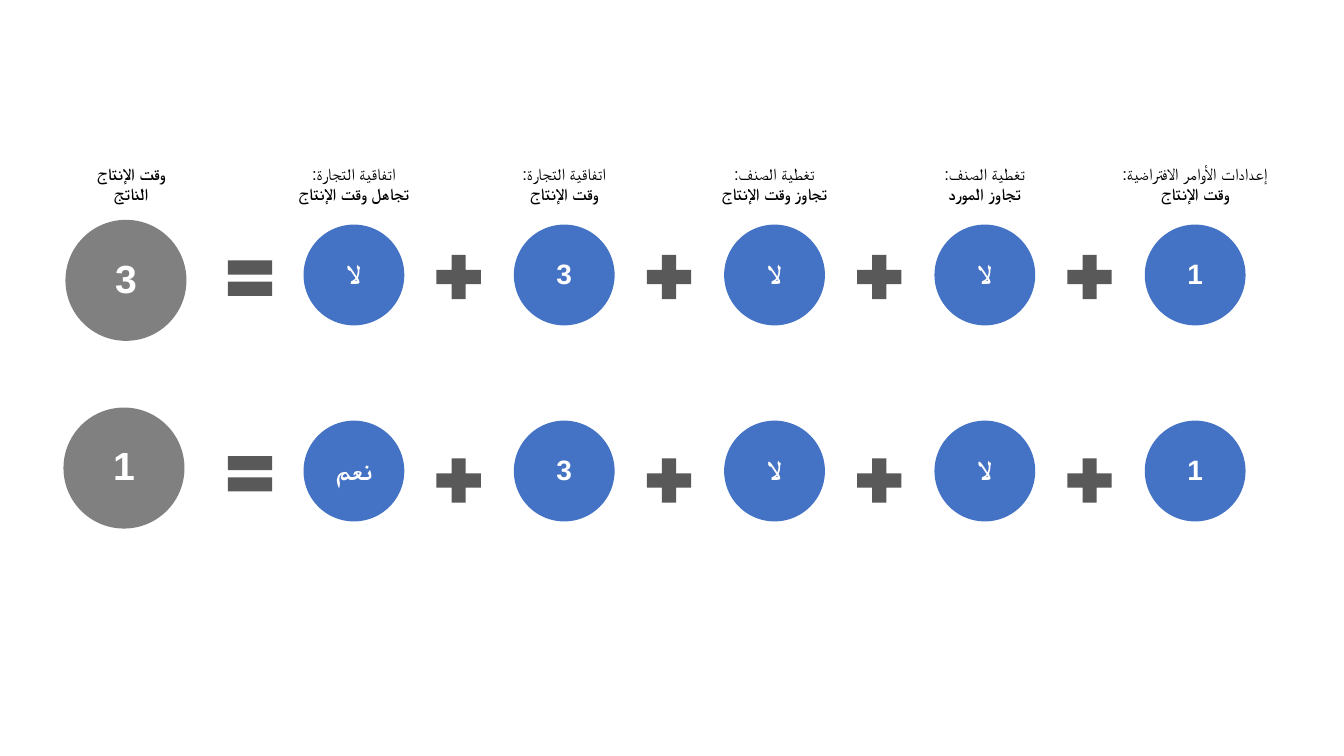
from pptx import Presentation
from pptx.dml.color import RGBColor
from pptx.enum.shapes import MSO_SHAPE
from pptx.enum.text import MSO_ANCHOR, PP_ALIGN
from pptx.oxml.ns import qn
from pptx.util import Cm, Pt
from lxml.etree import SubElement

COLORS = {
    "input": "4472C4",
    "result": "808080",
    "operator": "595959",
    "light": "FFFFFF",
    "dark": "000000",
}
STEP = 5.3
INPUT_LEFT = 28.85
PLUS_LEFT = 26.7
LABEL_LEFT = 27.88
LABELS = [
    ("إعدادات الأوامر الافتراضية:", "وقت الإنتاج"),
    ("تغطية الصنف:", "تجاوز المورد"),
    ("تغطية الصنف:", "تجاوز وقت الإنتاج"),
    ("اتفاقية التجارة:", "وقت الإنتاج"),
    ("اتفاقية التجارة:", "تجاهل وقت الإنتاج"),
]
EQUATIONS = [
    {"values": ["1", "لا", "لا", "3", "لا"], "result": "3", "shift": 0,
     "input_top": 5.66, "plus_top": 6.22, "equal_top": 6.25, "result_top": 5.54},
    {"values": ["1", "لا", "لا", "3", "نعم"], "result": "1", "shift": 0.05,
     "input_top": 10.6, "plus_top": 11.35, "equal_top": 11.18, "result_top": 10.27},
]


class Deck:
    font = "Arial"

    def __init__(self):
        self.prs = Presentation()
        self.prs.slide_width = Cm(33.87)
        self.prs.slide_height = Cm(19.05)
        self.s = self.prs.slides.add_slide(self.prs.slide_layouts[6])

    def style(self, p, size, color, bold):
        p.alignment = PP_ALIGN.CENTER
        p._p.get_or_add_pPr().set("rtl", "1")
        for r in p.runs:
            r.font.size = Pt(size)
            r.font.bold = bold
            r.font.name = self.font
            r.font.color.rgb = RGBColor.from_string(COLORS[color])
            SubElement(r.font._element, qn("a:cs")).set("typeface", self.font)

    def shape(self, kind, left, top, size, color):
        sp = self.s.shapes.add_shape(kind, Cm(left), Cm(top), Cm(size), Cm(size))
        sp.shadow.inherit = False
        sp.fill.solid()
        sp.fill.fore_color.rgb = RGBColor.from_string(COLORS[color])
        sp.line.fill.background()
        return sp

    def circle(self, text, left, top, size, color, points):
        sp = self.shape(MSO_SHAPE.OVAL, left, top, size, color)
        tf = sp.text_frame
        tf.margin_left = tf.margin_right = tf.margin_top = tf.margin_bottom = Cm(0.6)
        tf.vertical_anchor = MSO_ANCHOR.MIDDLE
        tf.word_wrap = False
        p = tf.paragraphs[0]
        p.text = text
        p.line_spacing = 0.9
        p.space_after = Pt(3)
        self.style(p, points, "light", True)

    def operator(self, kind, left, top):
        self.shape(kind, left, top, 1.52, "operator")

    def label(self, lines, left, bolds=(False, True)):
        tf = self.s.shapes.add_textbox(Cm(left), Cm(4), Cm(4.47), Cm(1.28)).text_frame
        tf.word_wrap = True
        tf.text = "\n".join(lines)
        for p, bold in zip(tf.paragraphs, bolds):
            self.style(p, 12, "dark", bold)

    def equation(self, row):
        for i, value in enumerate(row["values"]):
            self.circle(value, INPUT_LEFT - i * STEP, row["input_top"], 2.54, "input", 20)
        for i in range(len(row["values"]) - 1):
            self.operator(MSO_SHAPE.MATH_PLUS, PLUS_LEFT - i * STEP, row["plus_top"])
        self.operator(MSO_SHAPE.MATH_EQUAL, 5.54, row["equal_top"])
        self.circle(row["result"], 1.65 - row["shift"], row["result_top"], 3.05, "result", 28)


def main():
    deck = Deck()
    for row in EQUATIONS:
        deck.equation(row)
    for i, lines in enumerate(LABELS):
        deck.label(lines, LABEL_LEFT - i * STEP)
    deck.label(("وقت الإنتاج", "الناتج"), 1.07, (True, True))
    deck.prs.save("out.pptx")


if __name__ == "__main__":
    main()
